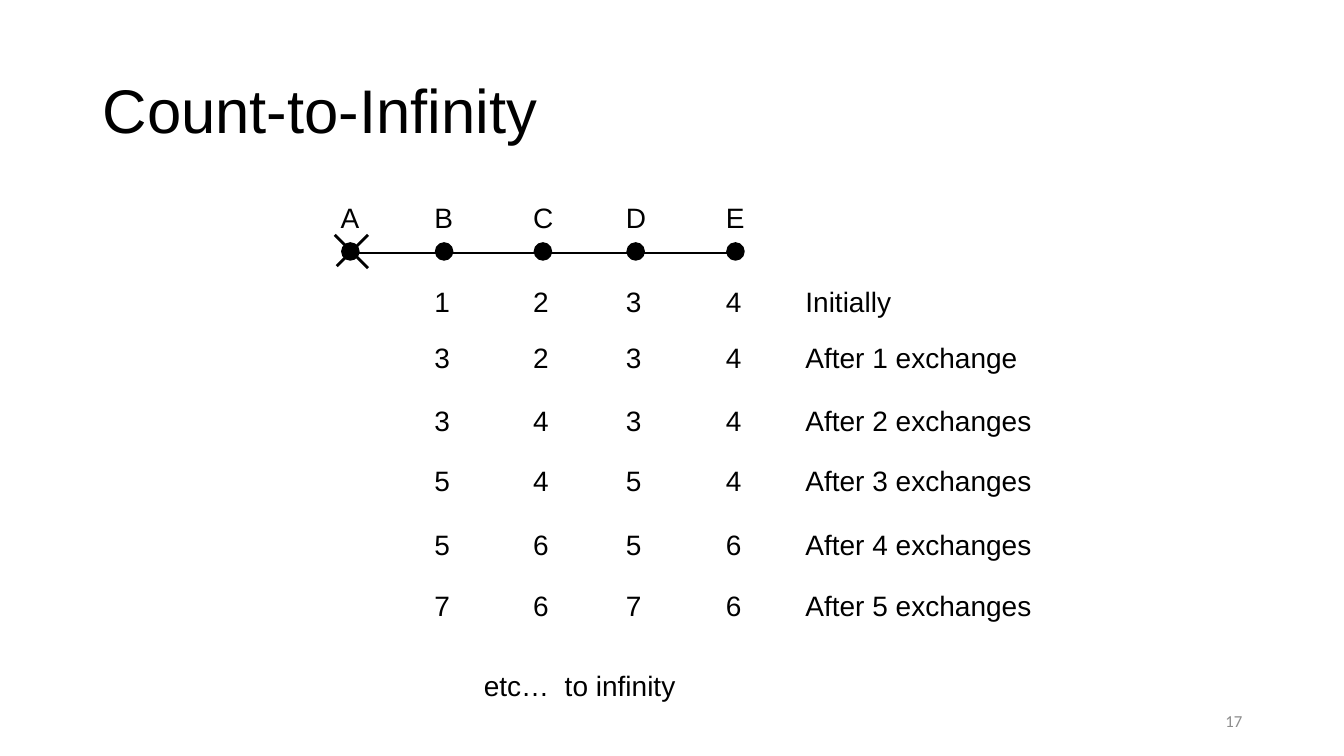
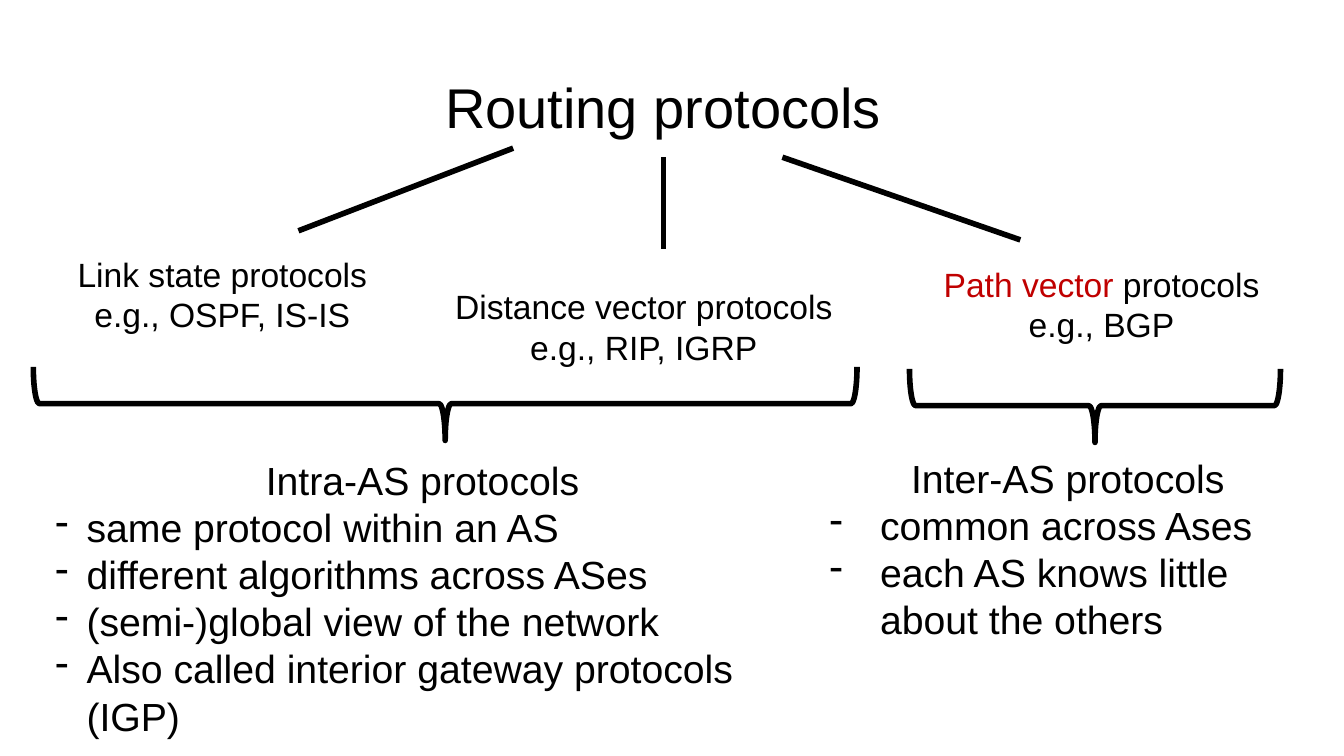
import pptx
import pptx.util
import pptx.dml.color
import pptx.enum.shapes
import pptx.enum.text
import lxml.etree

Inches = pptx.util.Inches
ALIGN = pptx.enum.text.PP_ALIGN
ANCHOR = pptx.enum.text.MSO_ANCHOR
SHAPE = pptx.enum.shapes.MSO_SHAPE

COLORS = {"ink": "000000", "accent": "C00000", "muted": "8C8C8C"}
FONT = "Arial"
FOOTER_FONT = "Calibri"


# Shared helpers
def color(name):
    return pptx.dml.color.RGBColor.from_string(COLORS[name])


def add_child(parent, tag, **attributes):
    child = lxml.etree.SubElement(parent, pptx.oxml.ns.qn(tag))
    for name, value in attributes.items():
        child.set(name, value)


def add_text(page, box, paragraphs, size, font=FONT, align=ALIGN.LEFT,
             anchor=ANCHOR.TOP, spacing=None, indent=None):
    """Each paragraph is a list of (text, color) runs; indent adds dashes after the first."""
    frame = page.shapes.add_textbox(*map(Inches, box)).text_frame
    frame.word_wrap = True
    frame.vertical_anchor = anchor
    for index, runs in enumerate(paragraphs):
        para = frame.add_paragraph() if index else frame.paragraphs[0]
        para.alignment = align
        para.line_spacing = spacing
        if indent and index:
            para.alignment = ALIGN.LEFT
            properties = para._p.get_or_add_pPr()
            properties.set("marL", str(Inches(indent)))
            properties.set("indent", str(-Inches(indent)))
            add_child(properties, "a:buFontTx")
            add_child(properties, "a:buChar", char="-")
        for text, ink in runs:
            span = para.add_run()
            span.text = text
            span.font.name = font
            span.font.size = pptx.util.Pt(size)
            span.font.color.rgb = color(ink)


def plain(*lines):
    return [[(line, "ink")] for line in lines]


def add_line(page, start, end, width):
    line = page.shapes.add_connector(
        pptx.enum.shapes.MSO_CONNECTOR.STRAIGHT, *map(Inches, (*start, *end)))
    line.line.color.rgb = color("ink")
    line.line.width = pptx.util.Pt(width)
    add_child(line._element.spPr, "a:effectLst")


def add_outline(page, kind, box, width):
    shape = page.shapes.add_shape(kind, *map(Inches, box))
    shape.shadow.inherit = False
    shape.fill.background()
    shape.line.color.rgb = color("ink")
    shape.line.width = pptx.util.Pt(width)
    return shape


def add_title(page, box, text, size, **style):
    add_text(page, box, plain(text), size, **style)


def add_page_number(page, box, number):
    add_text(page, box, [[(number, "muted")]], 12, font=FOOTER_FONT,
             align=ALIGN.RIGHT, anchor=ANCHOR.MIDDLE)


# Count-to-infinity: node chain above its distance rows
NODES = {"A": 0, "B": 0.93, "C": 1.91, "D": 2.83, "E": 3.82}
EXCHANGES = [
    (0.83, "1234", "Initially"),
    (1.39, "3234", "After 1 exchange"),
    (2.01, "3434", "After 2 exchanges"),
    (2.61, "5454", "After 3 exchanges"),
    (3.24, "5656", "After 4 exchanges"),
    (3.85, "7676", "After 5 exchanges"),
]
CELL = (0.41, 0.44)


def add_node_chain(page, box):
    left, top = box[:2]
    dot, inset, dot_top = 0.17, 0.11, top + 0.47
    middle = top + 0.57
    add_line(page, (left + 0.14, middle), (left + NODES["E"] + 0.24, middle), 2)
    for name, offset in NODES.items():
        node = add_outline(page, SHAPE.OVAL, (left + offset + inset, dot_top, dot, dot), 1)
        node.fill.solid()
        node.fill.fore_color.rgb = color("ink")
        add_text(page, (left + offset, top, *CELL), plain(name), 20)
    # Cross over the failed node
    add_line(page, (left + 0.04, top + 0.39), (left + 0.37, top + 0.72), 2)
    add_line(page, (left + 0.37, top + 0.39), (left + 0.06, top + 0.7), 2)


def add_distance_rows(page, box):
    left, top = box[:2]
    for row, distances, caption in EXCHANGES:
        for offset, distance in zip(list(NODES.values())[1:], distances):
            add_text(page, (left + offset, top + row, *CELL), plain(distance), 20)
        add_text(page, (left + 4.61, top + row, 2.5, CELL[1]), plain(caption), 20)
    add_text(page, (left + 1.42, top + 4.64, 2.2, CELL[1]), plain("etc…  to infinity"), 20)


def build_count_to_infinity(page):
    add_title(page, (0.92, 0.4, 11.5, 1.45), "Count-to-Infinity", 44,
              anchor=ANCHOR.MIDDLE, spacing=0.9)
    box = (3.28, 1.94, 7.11, 5.08)
    add_node_chain(page, box)
    add_distance_rows(page, box)
    add_page_number(page, (9.42, 6.95, 3, 0.4), "17")


# Routing protocols: a tree of families grouped by braces
FAMILIES = [
    ((0.45, 2.47, 3.51, 0.91), plain("Link state protocols", "e.g., OSPF, IS-IS")),
    ((4.27, 2.79, 4.23, 0.91), plain("Distance vector protocols", "e.g., RIP, IGRP")),
    ((8.81, 2.57, 4.23, 0.91),
     [[("Path vector ", "accent"), ("protocols", "ink")], [("e.g., BGP", "ink")]]),
]
BRANCHES = [((5.09, 1.47), (2.96, 2.29)), ((6.58, 1.56), (6.58, 2.47)),
            ((7.76, 1.56), (10.12, 2.38))]


def add_brace(page, box):
    """Turn a right brace so that it opens upwards and fills the box."""
    left, top, width, height = box
    shift = (width - height) / 2
    brace = add_outline(page, SHAPE.RIGHT_BRACE,
                        (left + shift, top - shift, height, width), 4)
    brace.rotation = 90


def add_group(page, brace_box, box, lines, indent):
    add_brace(page, brace_box)
    add_text(page, box, plain(*lines), 28, align=ALIGN.CENTER, indent=indent)


def build_routing_protocols(page):
    add_title(page, (3.65, 0.67, 5.85, 0.77), "Routing protocols", 40, align=ALIGN.CENTER)
    for start, end in BRANCHES:
        add_line(page, start, end, 4)
    for box, paragraphs in FAMILIES:
        add_text(page, box, paragraphs, 24, align=ALIGN.CENTER)
    add_group(page, (0.33, 3.64, 8.17, 0.73), (0.45, 4.48, 7.48, 2.93), [
        "Intra-AS protocols",
        "same protocol within an AS",
        "different algorithms across ASes",
        "(semi-)global view of the network",
        "Also called interior gateway protocols (IGP)",
    ], 0.31)
    add_group(page, (9.02, 3.66, 3.68, 0.73), (8.13, 4.46, 4.92, 1.99), [
        "Inter-AS protocols",
        "common across Ases",
        "each AS knows little about the others",
    ], 0.5)


# Deck
deck = pptx.Presentation()
deck.slide_width = Inches(13.33)
deck.slide_height = Inches(7.5)
for build in (build_count_to_infinity, build_routing_protocols):
    build(deck.slides.add_slide(deck.slide_layouts[6]))
deck.save("out.pptx")
